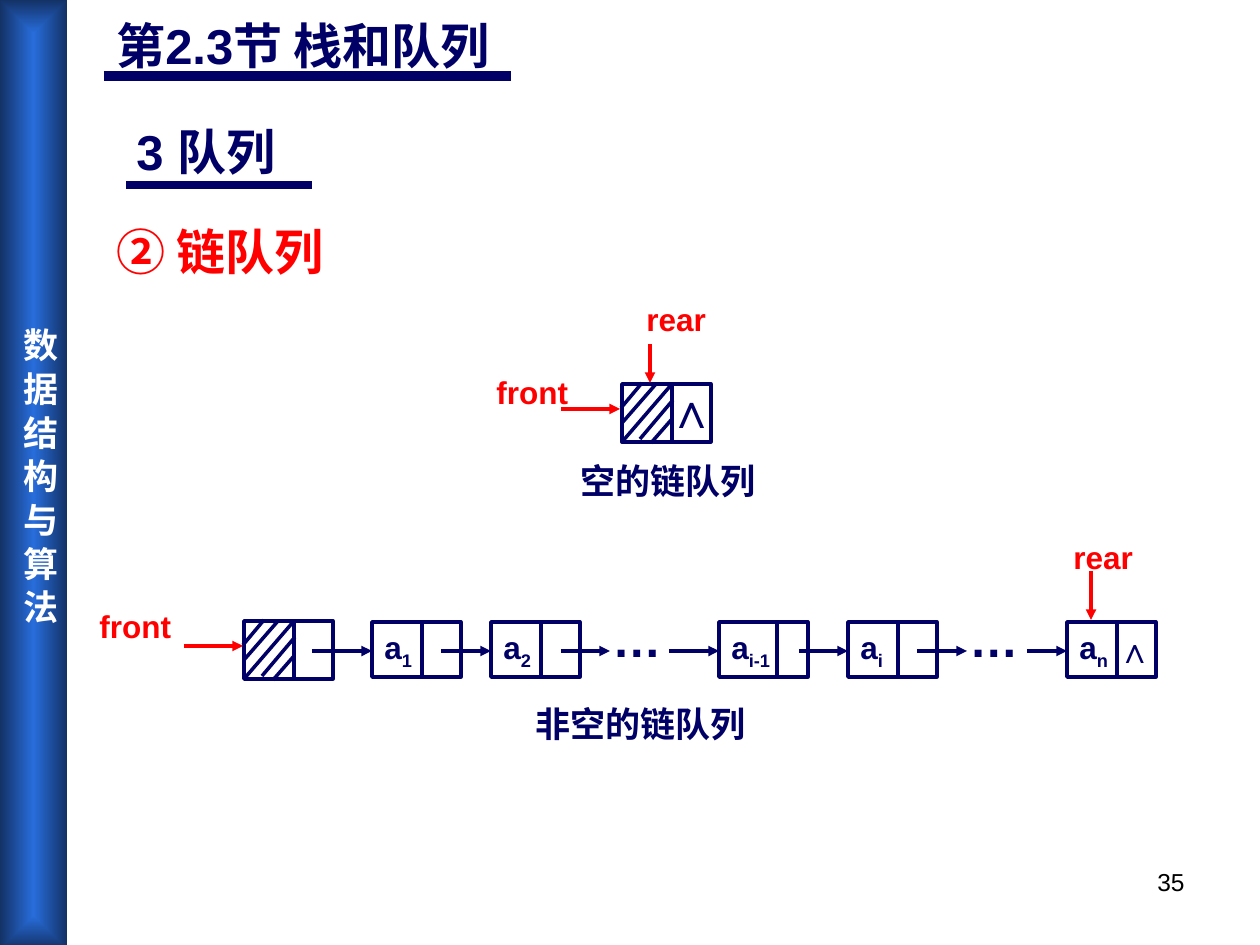
import pptx
import pptx.util
import pptx.dml.color
import pptx.enum.shapes
import pptx.enum.text
import pptx.oxml
import pptx.oxml.ns
from lxml import etree

RGBColor = pptx.dml.color.RGBColor
NAVY = RGBColor(0x00, 0x00, 0x66)
RED = RGBColor(0xFF, 0x00, 0x00)
WHITE = RGBColor(0xFF, 0xFF, 0xFF)
BLACK = RGBColor(0x00, 0x00, 0x00)
BAR_LIGHT = RGBColor(0x28, 0x6D, 0xDC)
BAR_DARK = RGBColor(0x13, 0x32, 0x66)

PX_PER_INCH = 126
CELL_WIDTH = 89
NODE_TOP = 622
NODE_HEIGHT = 55
LINK_Y = 651
HATCHING = [(20, -1, -1, 24), (34, 0, 0, 39), (50, 0, 0, 58),
            (51, 16, 18, 55), (50, 35, 29, 59)]


def px(length):
    return pptx.util.Emu(round(length * 914400 / PX_PER_INCH))


def add_child(parent, tag, **attributes):
    return etree.SubElement(parent, pptx.oxml.ns.qn(tag), **attributes)


class SlideBuilder:
    latin = "Arial"
    east_asian = "Noto Sans CJK SC"

    def __init__(self, slide):
        self.slide = slide

    def style(self, paragraph, size, color, bold=True):
        font = paragraph.font
        font.size, font.bold, font.name = pptx.util.Pt(size), bold, self.latin
        font.color.rgb = color
        properties = paragraph._p.pPr.find(pptx.oxml.ns.qn("a:defRPr"))
        add_child(properties, "a:ea", typeface=self.east_asian)

    def text(self, words, left, top, width, height, size, color=NAVY,
             wrap=False, bold=True, align=None):
        box = self.slide.shapes.add_textbox(px(left), px(top), px(width), px(height))
        frame = box.text_frame
        frame.word_wrap = wrap
        if not wrap:
            frame.auto_size = pptx.enum.text.MSO_AUTO_SIZE.SHAPE_TO_FIT_TEXT
        paragraph = frame.paragraphs[0]
        paragraph.text, paragraph.alignment = words, align
        self.style(paragraph, size, color, bold)

    def line(self, x1, y1, x2, y2, color=NAVY, width=2, arrow=False):
        connector = self.slide.shapes.add_connector(
            pptx.enum.shapes.MSO_CONNECTOR.STRAIGHT, px(x1), px(y1), px(x2), px(y2))
        connector.line.color.rgb = color
        connector.line.width = pptx.util.Pt(width)
        if arrow:
            add_child(connector.line._get_or_add_ln(), "a:tailEnd", type="triangle")
        add_child(connector._element.spPr, "a:effectLst")

    def rectangle(self, left, top, width, height):
        shape = self.slide.shapes.add_shape(
            pptx.enum.shapes.MSO_SHAPE.RECTANGLE, px(left), px(top), px(width), px(height))
        shape.shadow.inherit = False
        shape.fill.background()
        shape.line.color.rgb = NAVY
        shape.line.width = pptx.util.Pt(2)
        return shape

    def node(self, left, subscript, divider=50):
        shape = self.rectangle(left, NODE_TOP, CELL_WIDTH, NODE_HEIGHT)
        frame = shape.text_frame
        frame.vertical_anchor = pptx.enum.text.MSO_ANCHOR.TOP
        paragraph = frame.paragraphs[0]
        paragraph.alignment = pptx.enum.text.PP_ALIGN.LEFT
        self.style(paragraph, 18, NAVY)
        paragraph.add_run().text = "a"
        index = paragraph.add_run()
        index.text = subscript
        index.font._element.set("baseline", "-25000")
        self.line(left + divider, NODE_TOP, left + divider, NODE_TOP + NODE_HEIGHT)

    def head_node(self, left, top):
        self.rectangle(left, top, CELL_WIDTH, 58)
        self.line(left + 50, top, left + 50, top + 59)
        for x1, y1, x2, y2 in HATCHING:
            self.line(left + x1, top + y1, left + x2, top + y2)

    def sidebar(self, words, width, height):
        shape = self.rectangle(0, 0, width, height)
        shape.line.fill.background()
        # Gradient running from the centre to the edges
        shape.fill.gradient()
        gradient = shape._element.spPr.find(pptx.oxml.ns.qn("a:gradFill"))
        for stop, color in zip(shape.fill.gradient_stops, (BAR_LIGHT, BAR_DARK)):
            stop.color.rgb = color
        gradient.remove(gradient.find(pptx.oxml.ns.qn("a:lin")))
        shade = add_child(gradient, "a:path", path="rect")
        add_child(shade, "a:fillToRect", l="50000", t="50000", r="50000", b="50000")
        # Upright characters running downwards, held mid-height by the margins
        frame = shape.text_frame
        frame.margin_left = frame.margin_right = px(6)
        frame.margin_top, frame.margin_bottom = px(328), px(313)
        frame.vertical_anchor = pptx.enum.text.MSO_ANCHOR.TOP
        frame._txBody.bodyPr.set("vert", "eaVert")
        paragraph = frame.paragraphs[0]
        paragraph.text = words
        paragraph.alignment = pptx.enum.text.PP_ALIGN.CENTER
        self.style(paragraph, 20, WHITE)


def main():
    presentation = pptx.Presentation()
    presentation.slide_width, presentation.slide_height = px(1260), px(945)
    builder = SlideBuilder(presentation.slides.add_slide(presentation.slide_layouts[6]))

    # Sidebar and page number
    builder.sidebar("数 据 结 构 与 算 法", 67, 949)
    builder.text("35", 903, 861, 294, 66, 14, BLACK, wrap=True, bold=False,
                 align=pptx.enum.text.PP_ALIGN.RIGHT)

    # Headings
    builder.line(104, 76, 511, 76, width=6)
    builder.text("第2.3节 栈和队列", 104, 9, 427, 131, 28, wrap=True)
    builder.text("3 队列", 124, 115, 246, 72, 28, wrap=True)
    builder.line(126, 185, 312, 185, width=4.25)
    builder.text("② 链队列", 104, 215, 251, 72, 28, RED, wrap=True)

    # Empty linked queue
    builder.text("front", 484, 367, 97, 50, 18, RED)
    builder.line(561, 409, 620, 409, RED, arrow=True)
    builder.head_node(622, 384)
    builder.text("空的链队列", 568, 453, 201, 55, 20)
    builder.line(650, 344, 650, 383, RED, arrow=True)
    builder.text("rear", 634, 294, 86, 50, 18, RED)
    builder.text("∧", 655, 373, 74, 72, 28)

    # Nodes of the filled queue
    builder.head_node(244, 621)
    for left, subscript in [(372, "1"), (491, "2"), (848, "i"), (1067, "n")]:
        builder.node(left, subscript)
    builder.node(719, "i-1", divider=58)
    builder.text("∧", 1105, NODE_TOP, 60, 55, 20)

    # Links between the nodes
    for start, end in [(312, 372), (441, 491), (561, 610), (669, 719),
                       (799, 848), (917, 967), (1027, 1067)]:
        builder.line(start, LINK_Y, end, LINK_Y, arrow=True)
    for left in (600, 957):
        builder.text("…", left, 602, 74, 72, 28)

    # Pointers and caption of the filled queue
    builder.text("rear", 1061, 532, 86, 50, 18, RED)
    builder.line(1091, 571, 1091, 620, RED, arrow=True)
    builder.text("front", 87, 601, 97, 50, 18, RED)
    builder.line(184, 646, 243, 646, RED, arrow=True)
    builder.text("非空的链队列", 523, 696, 237, 55, 20, wrap=True)

    presentation.save("out.pptx")


if __name__ == "__main__":
    main()
